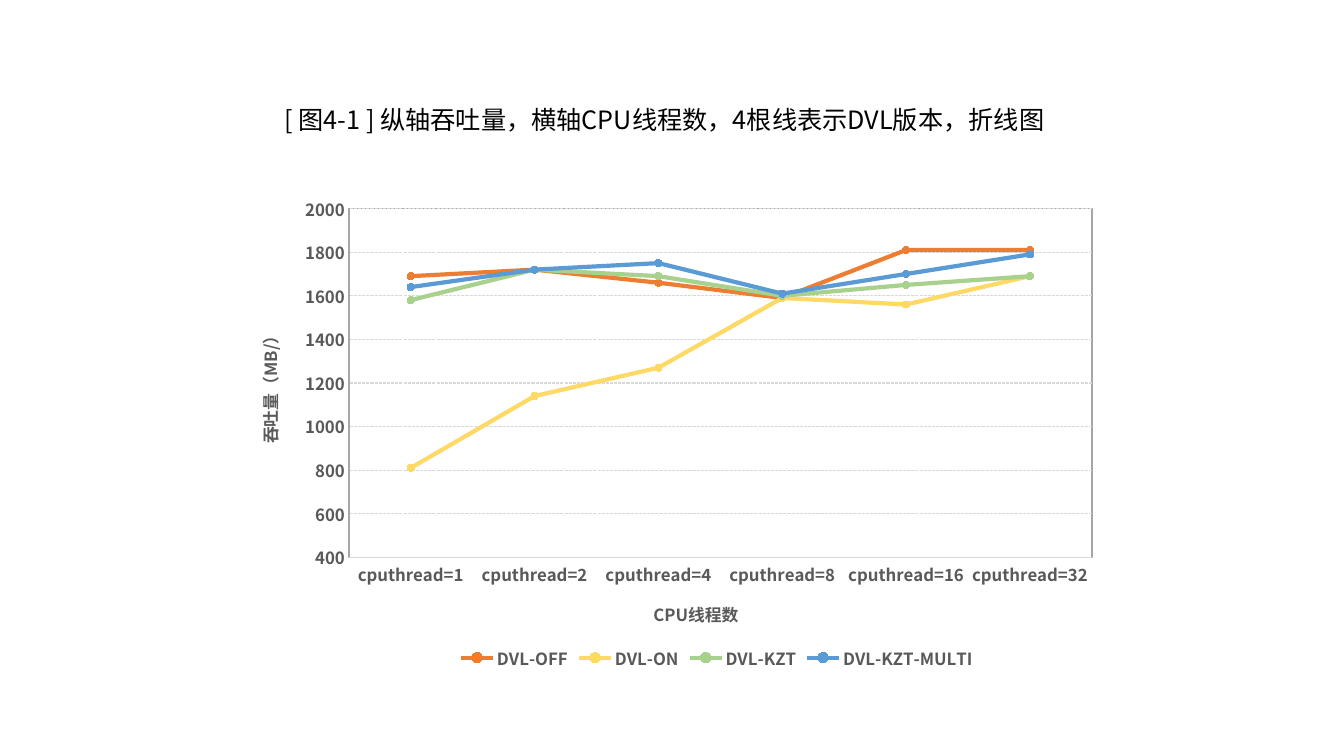
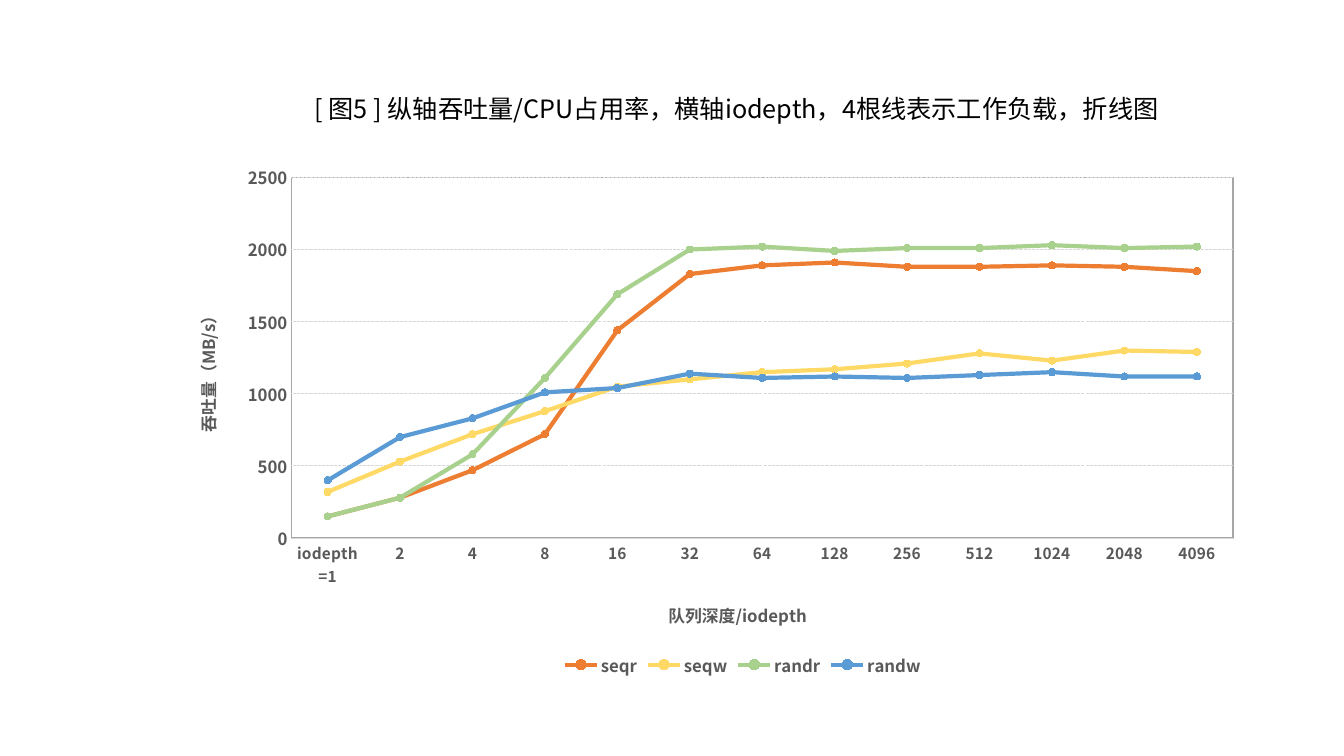
import pptx
import pptx.util
import pptx.oxml
import pptx.oxml.ns
import pptx.chart.data
import pptx.dml.color
import pptx.enum.chart
import pptx.enum.dml
import pptx.enum.text

Inches = pptx.util.Inches
Pt = pptx.util.Pt
RGBColor = pptx.dml.color.RGBColor
FONT = "Noto Sans CJK SC"
BLACK = RGBColor(0x00, 0x00, 0x00)
TEXT_GRAY = RGBColor(0x59, 0x59, 0x59)
GRID_GRAY = RGBColor(0xD9, 0xD9, 0xD9)
BORDER_GRAY = RGBColor(0xA6, 0xA6, 0xA6)
ORANGE = RGBColor(0xED, 0x7D, 0x31)
YELLOW = RGBColor(0xFF, 0xD9, 0x66)
GREEN = RGBColor(0xA9, 0xD1, 0x8E)
BLUE = RGBColor(0x5B, 0x9B, 0xD5)
NAMESPACES = pptx.oxml.ns.nsdecls("c", "a")


def style_font(font, size, color, bold):
    font.name = FONT
    font.size = Pt(size)
    font.color.rgb = color
    font.bold = bold


def place_part(part, index, frame, area, target=""):
    left, top, width, height = frame
    shares = [(area[0] - left) / width, (area[1] - top) / height]
    if len(area) == 4:
        shares += [area[2] / width, area[3] / height]
    modes = '<c:xMode val="edge"/><c:yMode val="edge"/>'
    values = "".join(f'<c:{key} val="{share:.4f}"/>' for key, share in zip("xywh", shares))
    for old in part.findall(pptx.oxml.ns.qn("c:layout")):
        part.remove(old)
    part.insert(index, pptx.oxml.parse_xml(
        f"<c:layout {NAMESPACES}><c:manualLayout>{target}{modes}{values}</c:manualLayout></c:layout>"))


slides = [
    {
        "title": "[ 图4-1 ] 纵轴吞吐量，横轴CPU线程数，4根线表示DVL版本，折线图",
        "title_at": (2.72, 0.98),
        "frame": (2.32, 1.84, 8.68, 4.99),
        "plot": (3.46, 2.07, 7.37, 3.46),
        "legend": (4.52, 6.36),
        "category_title": ("CPU线程数", (6.45, 5.92)),
        "value_title": ("吞吐量（MB/）", (2.5, 3.22)),
        "scale": (400, 2000, 200),
        "category_size": 12,
        "categories": [f"cputhread={2 ** power}" for power in range(6)],
        "series": {
            "DVL-OFF": [1690, 1720, 1660, 1590, 1810, 1810],
            "DVL-ON": [810, 1140, 1270, 1590, 1560, 1690],
            "DVL-KZT": [1580, 1720, 1690, 1600, 1650, 1690],
            "DVL-KZT-MULTI": [1640, 1720, 1750, 1610, 1700, 1790],
        },
    },
    {
        "title": "[ 图5 ] 纵轴吞吐量/CPU占用率，横轴iodepth，4根线表示工作负载，折线图",
        "title_at": (3.02, 0.88),
        "frame": (1.71, 1.52, 10.73, 5.32),
        "plot": (2.89, 1.76, 9.34, 3.58),
        "legend": (5.55, 6.43),
        "category_title": ("队列深度/iodepth", (6.6, 5.93)),
        "value_title": ("吞吐量（MB/s）", (1.89, 3.02)),
        "scale": (0, 2500, 500),
        "category_size": 11,
        "categories": ["iodepth=1"] + [str(2 ** power) for power in range(1, 13)],
        "series": {
            "seqr": [150, 280, 470, 720, 1440, 1830, 1890, 1910, 1880, 1880, 1890, 1880, 1850],
            "seqw": [320, 530, 720, 880, 1050, 1100, 1150, 1170, 1210, 1280, 1230, 1300, 1290],
            "randr": [150, 280, 580, 1110, 1690, 2000, 2020, 1990, 2010, 2010, 2030, 2010, 2020],
            "randw": [400, 700, 830, 1010, 1040, 1140, 1110, 1120, 1110, 1130, 1150, 1120, 1120],
        },
    },
]

deck = pptx.Presentation()
deck.slide_width = Inches(13.33)
deck.slide_height = Inches(7.5)

for content in slides:
    page = deck.slides.add_slide(deck.slide_layouts[5])
    frame = content["frame"]
    data = pptx.chart.data.CategoryChartData()
    data.categories = content["categories"]
    for name, values in content["series"].items():
        data.add_series(name, values)
    chart = page.shapes.add_chart(
        pptx.enum.chart.XL_CHART_TYPE.LINE_MARKERS,
        *[Inches(length) for length in frame], data).chart
    style_font(chart.font, 10, BLACK, False)
    chart.has_title = False
    chart.plots[0].vary_by_categories = False

    for series, color in zip(chart.plots[0].series, [ORANGE, YELLOW, GREEN, BLUE]):
        series.smooth = False
        series.format.line.color.rgb = color
        series.format.line.width = Pt(3)
        marker = series.marker
        marker.style = pptx.enum.chart.XL_MARKER_STYLE.CIRCLE
        marker.size = 5
        marker.format.fill.solid()
        marker.format.fill.fore_color.rgb = color
        marker.format.line.color.rgb = color

    category_axis, value_axis = chart.category_axis, chart.value_axis
    for axis, size, (text, position) in [
        (category_axis, content["category_size"], content["category_title"]),
        (value_axis, 12, content["value_title"]),
    ]:
        axis.major_tick_mark = pptx.enum.chart.XL_TICK_MARK.NONE
        axis.minor_tick_mark = pptx.enum.chart.XL_TICK_MARK.NONE
        style_font(axis.tick_labels.font, size, TEXT_GRAY, True)
        para = axis.axis_title.text_frame.paragraphs[0]
        para.text = text
        style_font(para.runs[0].font, 12, TEXT_GRAY, True)
        place_part(axis.axis_title.element, 1, frame, position)

    category_axis.format.line.color.rgb = GRID_GRAY
    category_axis.format.line.width = Pt(0.75)
    value_axis.format.line.fill.background()
    value_axis.minimum_scale, value_axis.maximum_scale, value_axis.major_unit = content["scale"]
    value_axis.has_major_gridlines = True
    grid_line = value_axis.major_gridlines.format.line
    grid_line.color.rgb = GRID_GRAY
    grid_line.width = Pt(0.75)
    grid_line.dash_style = pptx.enum.dml.MSO_LINE.SQUARE_DOT

    chart.has_legend = True
    chart.legend.position = pptx.enum.chart.XL_LEGEND_POSITION.BOTTOM
    chart.legend.include_in_layout = False
    style_font(chart.legend.font, 12, TEXT_GRAY, True)
    place_part(chart.element.xpath(".//c:legend")[0], 1, frame, content["legend"])

    plot_area = chart.element.xpath(".//c:plotArea")[0]
    place_part(plot_area, 0, frame, content["plot"], '<c:layoutTarget val="inner"/>')
    plot_area.append(pptx.oxml.parse_xml(
        f'<c:spPr {NAMESPACES}><a:noFill/><a:ln w="{Pt(1)}"><a:solidFill>'
        f'<a:srgbClr val="{BORDER_GRAY}"/></a:solidFill></a:ln></c:spPr>'))

    title = page.shapes.title
    left, top = content["title_at"]
    title.left, title.top, title.width, title.height = map(Inches, (left, top, 8.68, 0.4))
    title.text_frame.text = content["title"]
    title.text_frame.word_wrap = True
    title.text_frame.auto_size = pptx.enum.text.MSO_AUTO_SIZE.SHAPE_TO_FIT_TEXT
    title.text_frame.vertical_anchor = pptx.enum.text.MSO_ANCHOR.TOP
    para = title.text_frame.paragraphs[0]
    para.alignment = pptx.enum.text.PP_ALIGN.LEFT
    style_font(para.runs[0].font, 18, BLACK, False)

    for root in (chart.element, title.element):
        for latin in root.xpath(".//a:latin"):
            latin.addnext(pptx.oxml.parse_xml(f'<a:ea {NAMESPACES} typeface="{FONT}"/>'))

deck.save("out.pptx")
